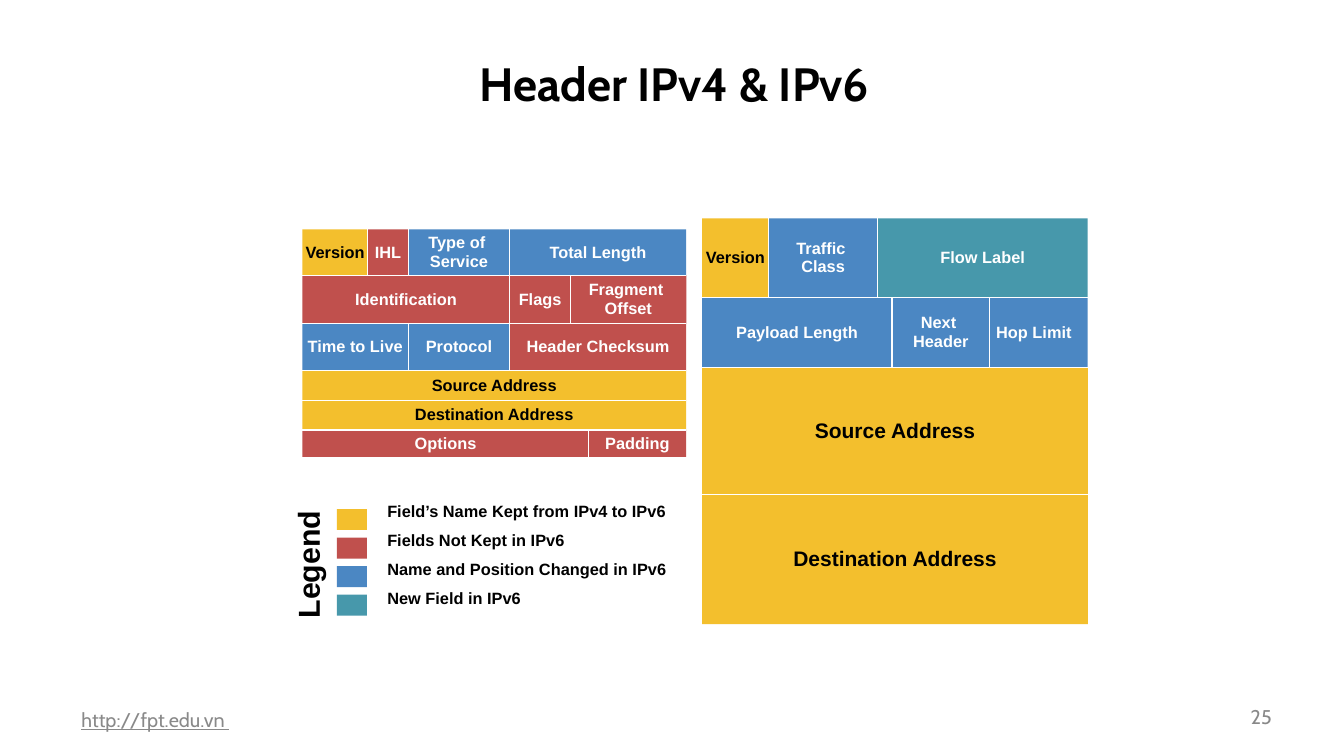
from dataclasses import dataclass
from typing import Any

import pptx
import pptx.dml.color
import pptx.enum.shapes
import pptx.enum.text
import pptx.oxml.ns
import pptx.util
from lxml import etree

Inches = pptx.util.Inches
Pt = pptx.util.Pt
RGBColor = pptx.dml.color.RGBColor
Align = pptx.enum.text.PP_ALIGN
Anchor = pptx.enum.text.MSO_ANCHOR

BLACK = RGBColor(0x00, 0x00, 0x00)
WHITE = RGBColor(0xFF, 0xFF, 0xFF)
GREY = RGBColor(0x89, 0x89, 0x89)
KEPT = RGBColor(0xF3, 0xBF, 0x2D)
DROPPED = RGBColor(0xC0, 0x50, 0x4D)
CHANGED = RGBColor(0x4B, 0x87, 0xC3)
NEW = RGBColor(0x47, 0x98, 0xAB)


@dataclass(frozen=True)
class Style:
    font: str
    size: float
    color: RGBColor = BLACK
    bold: bool = False
    underline: bool = False
    align: Any = Align.LEFT
    anchor: Any = Anchor.MIDDLE
    inset: tuple[float, float] = (0.14, 0.07)
    line_spacing: float = 1.0
    space_before: float = 0
    wrap: bool = True


@dataclass(frozen=True)
class Field:
    label: str
    color: RGBColor
    left: float
    align: Any = Align.CENTER


@dataclass(frozen=True)
class Row:
    top: float
    fields: list[Field]
    size: float = 14


@dataclass(frozen=True)
class Header:
    left: float
    right: float
    bottom: float
    rows: list[Row]


IPV4 = Header(3.6, 8.17, 5.44, [
    Row(2.73, [Field("Version", KEPT, 3.6), Field("IHL", DROPPED, 4.38),
               Field("Type of \vService", CHANGED, 4.86),
               Field("Total Length", CHANGED, 6.07)]),
    Row(3.28, [Field("Identification", DROPPED, 3.6),
               Field("Flags", DROPPED, 6.07),
               Field("Fragment \vOffset", DROPPED, 6.79)]),
    Row(3.85, [Field("Time to Live", CHANGED, 3.6),
               Field("Protocol", CHANGED, 4.86),
               Field("Header Checksum", DROPPED, 6.07)]),
    Row(4.41, [Field("Source Address", KEPT, 3.6)]),
    Row(4.77, [Field("Destination Address", KEPT, 3.6)]),
    Row(5.12, [Field("Options", DROPPED, 3.6),
               Field("Padding", DROPPED, 7.01)]),
])

IPV6 = Header(8.36, 12.95, 7.43, [
    Row(2.6, [Field("Version", KEPT, 8.36),
              Field("Traffic \vClass", CHANGED, 9.15),
              Field("Flow Label", NEW, 10.45)]),
    Row(3.54, [Field("Payload Length", CHANGED, 8.36),
               Field("Next \vHeader", CHANGED, 10.62),
               Field("Hop Limit", CHANGED, 11.78, Align.LEFT)]),
    Row(4.38, [Field("Source Address", KEPT, 8.36)], 18),
    Row(5.89, [Field("Destination Address", KEPT, 8.36)], 18),
])

LEGEND = {
    "Field’s Name Kept from IPv4 to IPv6": KEPT,
    "Fields Not Kept in IPv6": DROPPED,
    "Name and Position Changed in IPv6": CHANGED,
    "New Field in IPv6": NEW,
}


def write(shape: Any, lines: list[str], style: Style) -> None:
    """Fill a shape with one paragraph per line; a vertical tab breaks a line."""
    frame = shape.text_frame
    frame.word_wrap = style.wrap
    frame.vertical_anchor = style.anchor
    frame.margin_left = frame.margin_right = Inches(style.inset[0])
    frame.margin_top = frame.margin_bottom = Inches(style.inset[1])
    for index, line in enumerate(lines):
        paragraph = frame.add_paragraph() if index else frame.paragraphs[0]
        paragraph.alignment = style.align
        paragraph.line_spacing = style.line_spacing
        if index:
            paragraph.space_before = Pt(style.space_before)
        for part_index, part in enumerate(line.split("\v")):
            if part_index:
                paragraph.add_line_break()
            run = paragraph.add_run()
            run.text = part
            run.font.name = style.font
            run.font.size = Pt(style.size)
            run.font.bold = style.bold
            run.font.underline = style.underline
            run.font.color.rgb = style.color


def add_text(shapes: Any, left: float, top: float, width: float, height: float,
             lines: list[str], style: Style) -> Any:
    box = shapes.add_textbox(Inches(left), Inches(top), Inches(width), Inches(height))
    write(box, lines, style)
    return box


def add_block(shapes: Any, left: float, top: float, width: float, height: float,
              color: RGBColor) -> Any:
    block = shapes.add_shape(pptx.enum.shapes.MSO_SHAPE.RECTANGLE, Inches(left),
                             Inches(top), Inches(width), Inches(height))
    block.shadow.inherit = False
    block.fill.solid()
    block.fill.fore_color.rgb = color
    block.line.fill.background()
    return block


def add_divider(shapes: Any, x1: float, y1: float, x2: float, y2: float) -> None:
    divider = shapes.add_connector(pptx.enum.shapes.MSO_CONNECTOR.STRAIGHT,
                                   Inches(x1), Inches(y1), Inches(x2), Inches(y2))
    divider.line.color.rgb = WHITE
    divider.line.width = Pt(1)
    etree.SubElement(divider._element.spPr, pptx.oxml.ns.qn("a:effectLst"))


def add_header(slide: Any, header: Header) -> None:
    """Draw the fields of a packet header, then the dividers between them."""
    shapes = slide.shapes.add_group_shape().shapes
    bottoms = [row.top for row in header.rows[1:]] + [header.bottom]
    for row, bottom in zip(header.rows, bottoms):
        rights = [field.left for field in row.fields[1:]] + [header.right]
        for field, right in zip(row.fields, rights):
            block = add_block(shapes, field.left, row.top, right - field.left,
                              bottom - row.top, field.color)
            color = BLACK if field.color == KEPT else WHITE
            write(block, [field.label],
                  Style("Arial", row.size, color, bold=True, align=field.align,
                        inset=(0.08, 0.04), line_spacing=0.95, wrap=False))
    for row, bottom in zip(header.rows, bottoms):
        if bottom != header.bottom:
            add_divider(shapes, header.left, bottom, header.right, bottom)
        for field in row.fields[1:]:
            add_divider(shapes, field.left, row.top, field.left, bottom)


def add_legend(slide: Any) -> None:
    add_text(slide.shapes, 4.52, 5.94, 3.75, 1.34, list(LEGEND),
             Style("Arial", 14, bold=True, inset=(0.09, 0.04),
                   line_spacing=0.95, space_before=8.8))
    heading = add_text(slide.shapes, 2.8, 6.47, 1.78, 0.5, ["Legend"],
                       Style("Arial", 26, bold=True, align=Align.CENTER,
                             anchor=Anchor.TOP, inset=(0.09, 0.04),
                             line_spacing=0.95))
    heading.rotation = 270
    for index, color in enumerate(LEGEND.values()):
        add_block(slide.shapes, 4.01, 6.06 + 0.34 * index, 0.36, 0.25, color)


def main() -> None:
    deck = pptx.Presentation()
    deck.slide_width, deck.slide_height = Inches(16), Inches(9)
    slide = deck.slides.add_slide(deck.slide_layouts[6])
    add_text(slide.shapes, 0.83, 0.24, 14.4, 1.5, ["Header IPv4 & IPv6"],
             Style("Cabin", 40, bold=True, align=Align.CENTER))
    add_text(slide.shapes, 0.83, 8.33, 5.07, 0.48, ["http://fpt.edu.vn "],
             Style("Cabin", 17, GREY, underline=True))
    add_text(slide.shapes, 14.5, 8.33, 0.78, 0.41, ["25"],
             Style("Cabin", 17, GREY, align=Align.RIGHT))
    add_header(slide, IPV4)
    add_header(slide, IPV6)
    add_legend(slide)
    deck.save("out.pptx")


if __name__ == "__main__":
    main()
